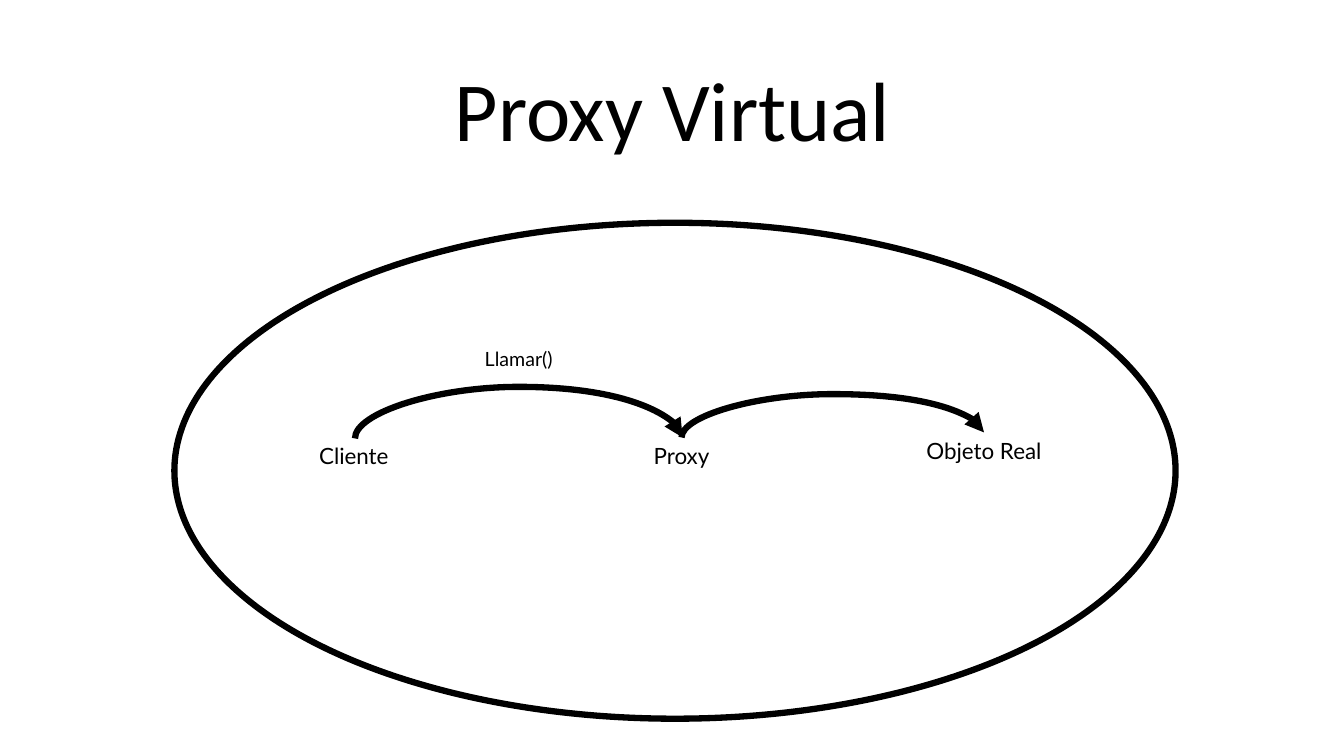
from lxml import etree
from pptx import Presentation
from pptx.dml.color import RGBColor
from pptx.enum.shapes import MSO_CONNECTOR, MSO_SHAPE
from pptx.enum.text import MSO_ANCHOR, MSO_AUTO_SIZE, PP_ALIGN
from pptx.oxml.ns import qn
from pptx.util import Inches, Pt

INK = "000000"
STROKE = 4.5


def color(hex_code):
    return RGBColor.from_string(hex_code)


def write(frame, text, size, font):
    """Put one centred run into a text frame."""
    frame.word_wrap = True
    paragraph = frame.paragraphs[0]
    paragraph.alignment = PP_ALIGN.CENTER
    run = paragraph.add_run()
    run.text = text
    run.font.size = Pt(size)
    run.font.name = font
    run.font.color.rgb = color(INK)
    return paragraph


def set_stroke(line):
    line.color.rgb = color(INK)
    line.width = Pt(STROKE)


def add_title(slide, text):
    title = slide.shapes.title
    title.left, title.top = Inches(0.92), Inches(0.41)
    title.width, title.height = Inches(11.5), Inches(1.45)
    title.text_frame.auto_size = MSO_AUTO_SIZE.NONE
    title.text_frame.vertical_anchor = MSO_ANCHOR.MIDDLE
    write(title.text_frame, text, 60, "Calibri").line_spacing = 0.9


def add_boundary(slide, left, top, width, height):
    boundary = slide.shapes.add_shape(
        MSO_SHAPE.OVAL, Inches(left), Inches(top), Inches(width), Inches(height))
    boundary.shadow.inherit = False
    boundary.fill.background()
    set_stroke(boundary.line)


def add_label(slide, text, left, top, width, height, size=16):
    label = slide.shapes.add_textbox(
        Inches(left), Inches(top), Inches(width), Inches(height))
    write(label.text_frame, text, size, "Lato")
    label.text_frame.auto_size = MSO_AUTO_SIZE.SHAPE_TO_FIT_TEXT


def add_call_arc(slide, start, end, peak):
    """Curved arrow that rises from start to the peak height and falls to end."""
    (x1, y1), (x2, y2) = start, end
    rise, span = y1 - y2, x2 - x1
    mid_x, mid_y = (x1 + x2) / 2, (y1 + y2) / 2
    # The frame lies upright and is turned by 90 degrees
    arc = slide.shapes.add_connector(
        MSO_CONNECTOR.CURVE,
        Inches(mid_x + rise / 2), Inches(mid_y + span / 2),
        Inches(mid_x - rise / 2), Inches(mid_y - span / 2))
    set_stroke(arc.line)
    properties = arc._element.spPr
    properties.find(qn("a:xfrm")).set("rot", str(90 * 60000))

    # Bend of the curve, measured in multiples of the rise
    guides = properties.find(qn("a:prstGeom")).get_or_add_avLst()
    bend = round((y1 - peak) / rise * 100000)
    etree.SubElement(guides, qn("a:gd"), name="adj1", fmla=f"val {bend}")

    # Arrowhead, and no shadow
    etree.SubElement(properties.find(qn("a:ln")), qn("a:tailEnd"), type="triangle")
    etree.SubElement(properties, qn("a:effectLst"))


def main():
    deck = Presentation()
    deck.slide_width, deck.slide_height = Inches(13.33), Inches(7.5)
    slide = deck.slides.add_slide(deck.slide_layouts[5])

    add_title(slide, "Proxy Virtual")
    add_boundary(slide, 1.73, 2.21, 9.93, 4.92)

    # Participants
    add_label(slide, "Cliente", 2.51, 4.34, 2, 0.37)
    add_label(slide, "Proxy", 5.76, 4.34, 2, 0.37)
    add_label(slide, "Objeto Real", 8.76, 4.29, 2, 0.37)

    # Calls
    add_call_arc(slide, (3.52, 4.35), (6.77, 4.34), 3.83)
    add_label(slide, "Llamar()", 3.94, 3.39, 2.41, 0.34, size=14)
    add_call_arc(slide, (6.76, 4.34), (9.76, 4.29), 3.91)

    deck.save("out.pptx")


if __name__ == "__main__":
    main()
